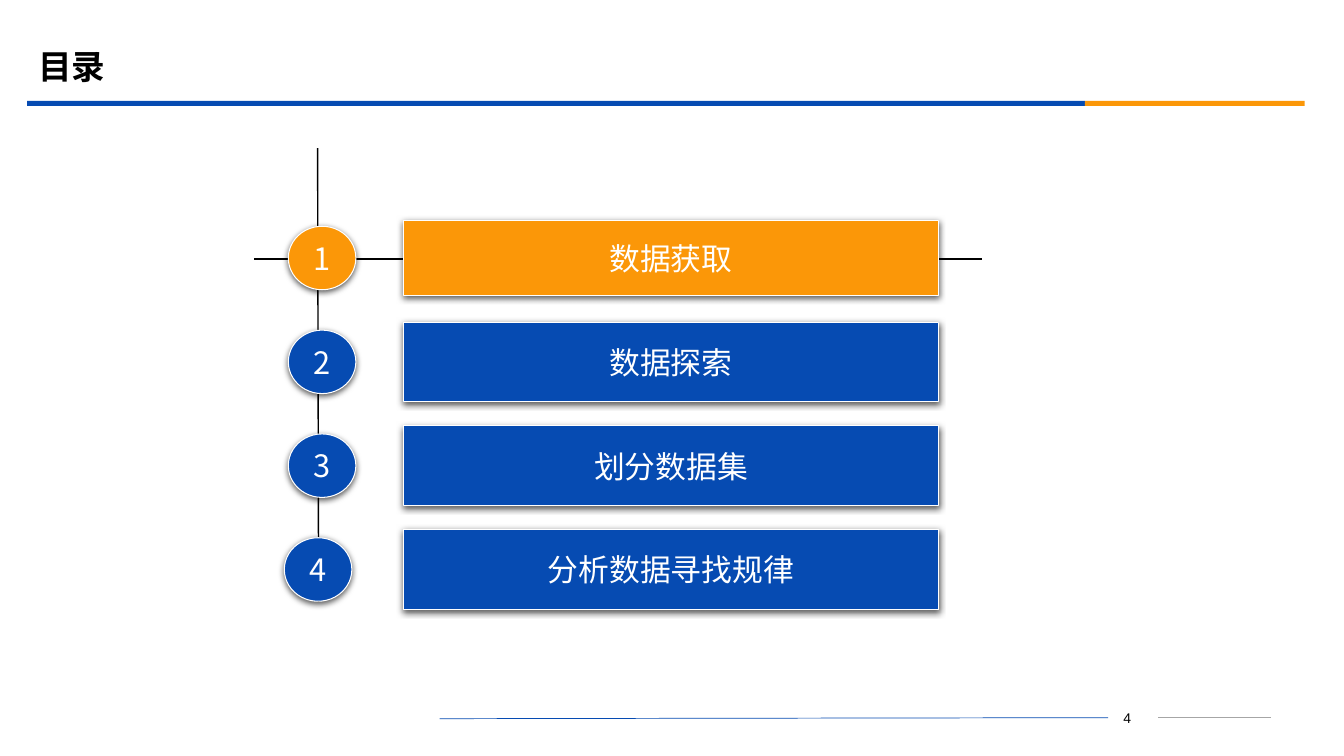
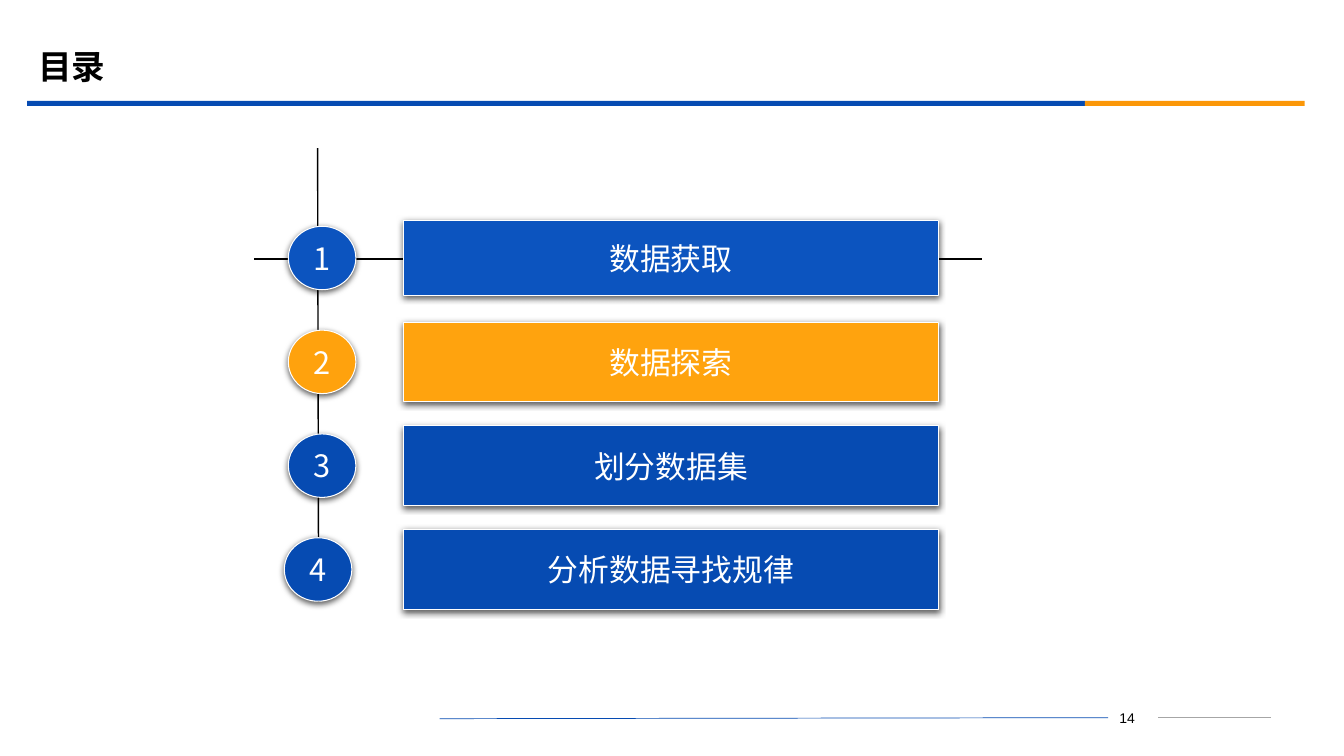
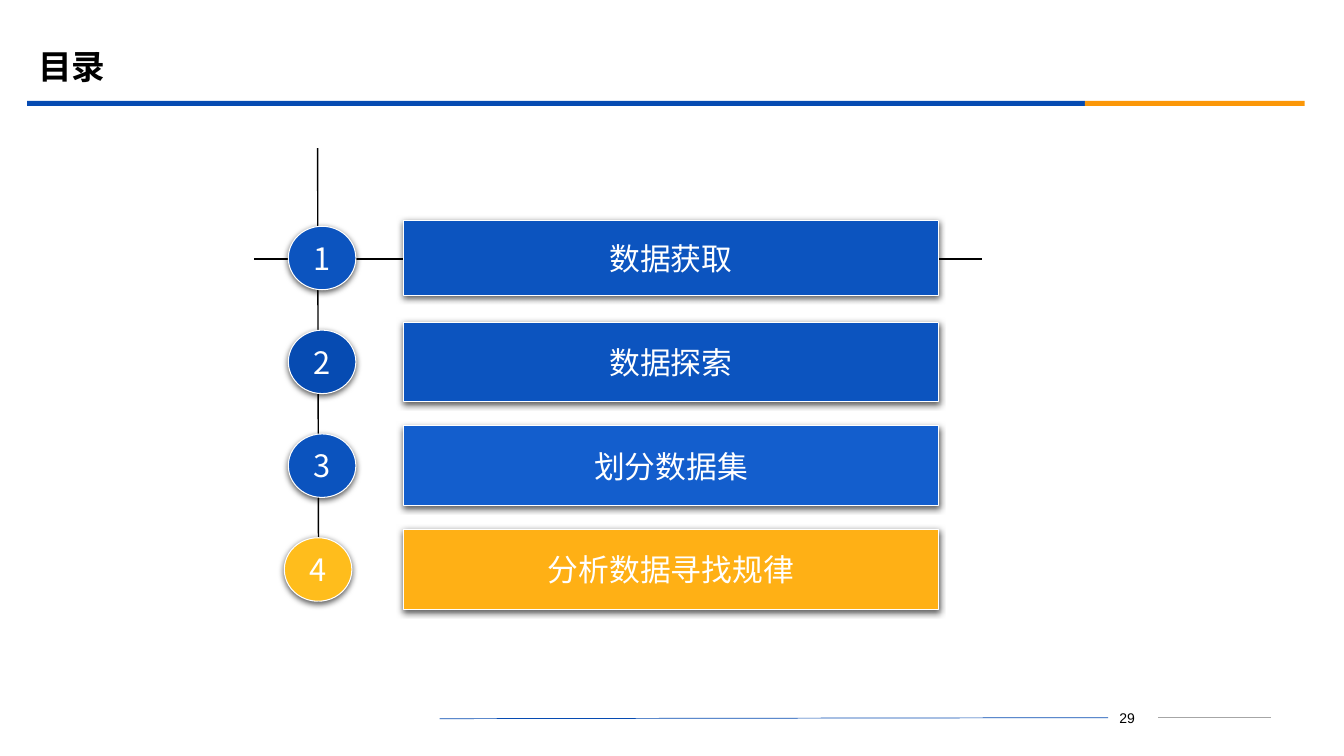
"""Build three agenda slides, each highlighting the current section."""
from lxml.etree import SubElement
from pptx import Presentation
from pptx.dml.color import RGBColor
from pptx.enum.shapes import MSO_CONNECTOR, MSO_SHAPE
from pptx.enum.text import MSO_ANCHOR, MSO_AUTO_SIZE, PP_ALIGN
from pptx.oxml.ns import qn
from pptx.util import Inches, Pt

COLOURS = {
    "black": "000000",
    "white": "FFFFFF",
    "grey": "A6A6A6",
    "blue": "064BB2",
    "soft_blue": "0B53BE",
    "mid_blue": "0C54BF",
    "light_blue": "135ECD",
    "orange": "FB9708",
    "mid_orange": "FFA30E",
    "warm_orange": "FFA20D",
    "light_orange": "FFB015",
    "yellow": "FFBD1C",
}
CJK_FONT = "Noto Sans CJK SC"
TITLE = "目录"
SECTIONS = ["数据获取", "数据探索", "划分数据集", "分析数据寻找规律"]
AGENDAS = [
    {"number": "4",
     "badges": ["orange", "blue", "blue", "blue"],
     "bars": ["orange", "blue", "blue", "blue"]},
    {"number": "14",
     "badges": ["mid_blue", "warm_orange", "blue", "blue"],
     "bars": ["mid_blue", "mid_orange", "blue", "blue"]},
    {"number": "29",
     "badges": ["mid_blue", "blue", "soft_blue", "yellow"],
     "bars": ["mid_blue", "mid_blue", "light_blue", "light_orange"]},
]
BANDS = [(0.27, 10.49, "blue"), (10.76, 2.18, "orange")]
FOOTER_LINES = [
    (4.36, 7.13, 10.99, 7.12, "blue", 0.5),
    (11.49, 7.12, 12.61, 7.12, "grey", 0.75),
]
AXES = [
    (3.15, 1.47, 3.16, 5.97, "black", 1),
    (2.52, 2.57, 9.74, 2.57, "black", 1),
]
FIRST_CENTRE, ROW_PITCH = 2.56, 1.03
BADGE_WIDTH, BADGE_HEIGHT = 0.67, 0.63
BADGE_LEFTS = [2.86, 2.86, 2.86, 2.82]
BAR_LEFT, BAR_WIDTH = 4, 5.31
BAR_HEIGHTS = [0.75, 0.79, 0.79, 0.79]


def colour(name):
    """Return the named colour."""
    return RGBColor.from_string(COLOURS[name])


def write(frame, text, size=22, font=CJK_FONT, ink="white", bold=False,
          align=PP_ALIGN.CENTER, anchor=MSO_ANCHOR.MIDDLE, wrap=False, spacing=None):
    """Fill a text frame with one formatted paragraph."""
    frame.auto_size = MSO_AUTO_SIZE.NONE
    frame.word_wrap = wrap
    frame.vertical_anchor = anchor
    para = frame.paragraphs[0]
    para.alignment = align
    para.line_spacing = spacing
    span = para.add_run()
    span.text = text
    span.font.size = Pt(size)
    span.font.bold = bold
    span.font.color.rgb = colour(ink)
    span.font.name = font
    SubElement(span.font._element, qn("a:ea"), typeface=CJK_FONT)


def add_block(page, kind, left, top, width, height, fill):
    """Add a filled shape without outline or shadow."""
    block = page.shapes.add_shape(
        kind, Inches(left), Inches(top), Inches(width), Inches(height))
    block.shadow.inherit = False
    block.fill.solid()
    block.fill.fore_color.rgb = colour(fill)
    block.line.fill.background()
    return block


def add_button(page, kind, left, centre, width, height, fill, text):
    """Add a white-edged, shadowed shape with a label."""
    button = add_block(page, kind, left, centre - height / 2, width, height, fill)
    button.line.color.rgb = colour("white")
    button.line.width = Pt(0.75)
    effects = button._element.spPr.find(qn("a:effectLst"))
    shadow = SubElement(effects, qn("a:outerShdw"), blurRad=str(Pt(4.5)),
                        dist=str(Pt(1.5)), dir="5400000", rotWithShape="0")
    tint = SubElement(shadow, qn("a:srgbClr"), val=COLOURS["black"])
    SubElement(tint, qn("a:alpha"), val="63000")
    write(button.text_frame, text)


def add_line(page, left, top, right, bottom, ink, width):
    """Add a straight line without shadow."""
    line = page.shapes.add_connector(
        MSO_CONNECTOR.STRAIGHT, Inches(left), Inches(top), Inches(right), Inches(bottom))
    line.line.color.rgb = colour(ink)
    line.line.width = Pt(width)
    SubElement(line._element.spPr, qn("a:effectLst"))


def add_frame(page, number):
    """Add the title, bands and footer that every slide shares."""
    title = page.shapes.title
    title.left, title.top = Inches(0.28), Inches(0.39)
    title.width, title.height = Inches(12), Inches(0.58)
    write(title.text_frame, TITLE, size=24, font="Montserrat", ink="black",
          bold=True, align=PP_ALIGN.LEFT, wrap=True, spacing=0.9)
    for left, width, fill in BANDS:
        add_block(page, MSO_SHAPE.RECTANGLE, left, 1, width, 0.05, fill)
    for line in FOOTER_LINES:
        add_line(page, *line)
    box = page.shapes.add_textbox(Inches(10.87), Inches(6.99), Inches(0.62), Inches(0.25))
    write(box.text_frame, number, size=10, font="Arial", ink="black",
          anchor=MSO_ANCHOR.TOP, wrap=True)


def add_agenda(page, badges, bars):
    """Add the axes and one numbered row per section."""
    for axis in AXES:
        add_line(page, *axis)
    for index, section in enumerate(SECTIONS):
        centre = FIRST_CENTRE + index * ROW_PITCH
        add_button(page, MSO_SHAPE.ACTION_BUTTON_CUSTOM, BAR_LEFT, centre,
                   BAR_WIDTH, BAR_HEIGHTS[index], bars[index], section)
        add_button(page, MSO_SHAPE.OVAL, BADGE_LEFTS[index], centre,
                   BADGE_WIDTH, BADGE_HEIGHT, badges[index], str(index + 1))


def main():
    """Build and save the deck."""
    deck = Presentation()
    deck.slide_width, deck.slide_height = Inches(13.33), Inches(7.5)
    for agenda in AGENDAS:
        page = deck.slides.add_slide(deck.slide_layouts[5])
        add_frame(page, agenda["number"])
        add_agenda(page, agenda["badges"], agenda["bars"])
    deck.save("out.pptx")


if __name__ == "__main__":
    main()
